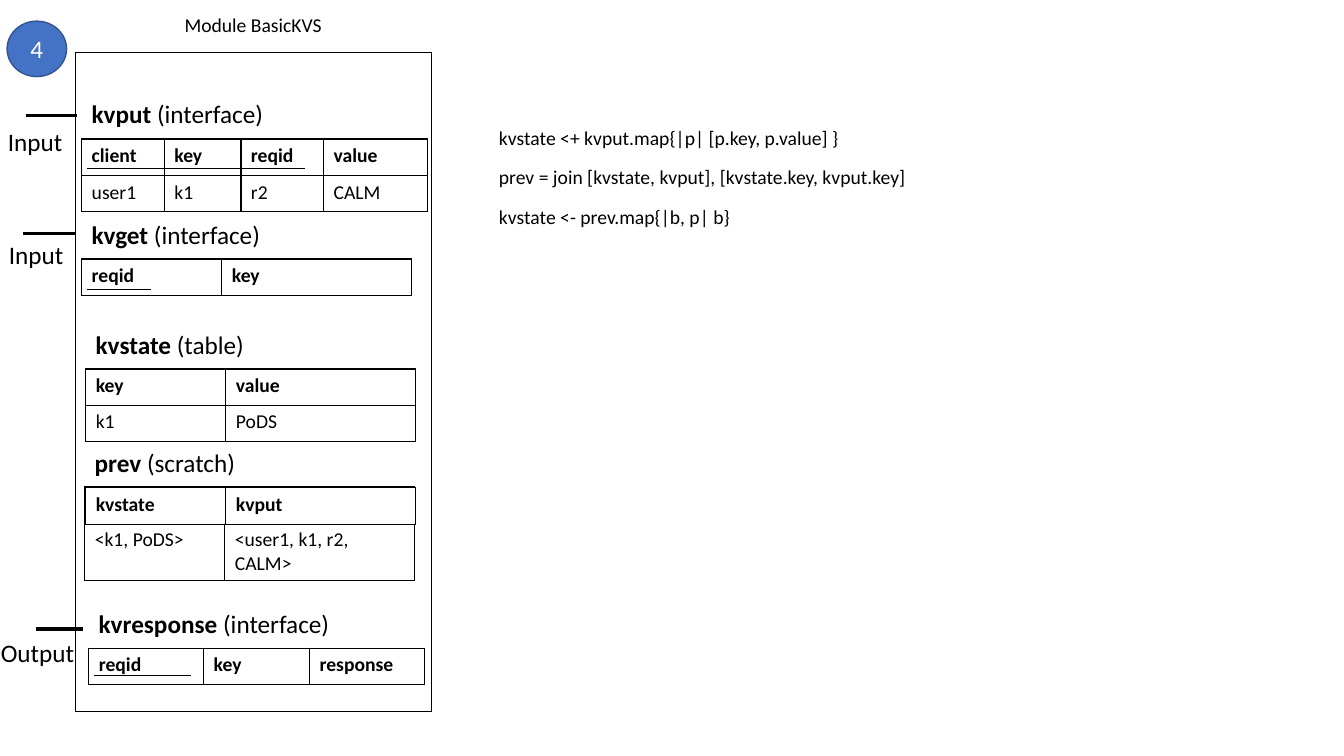
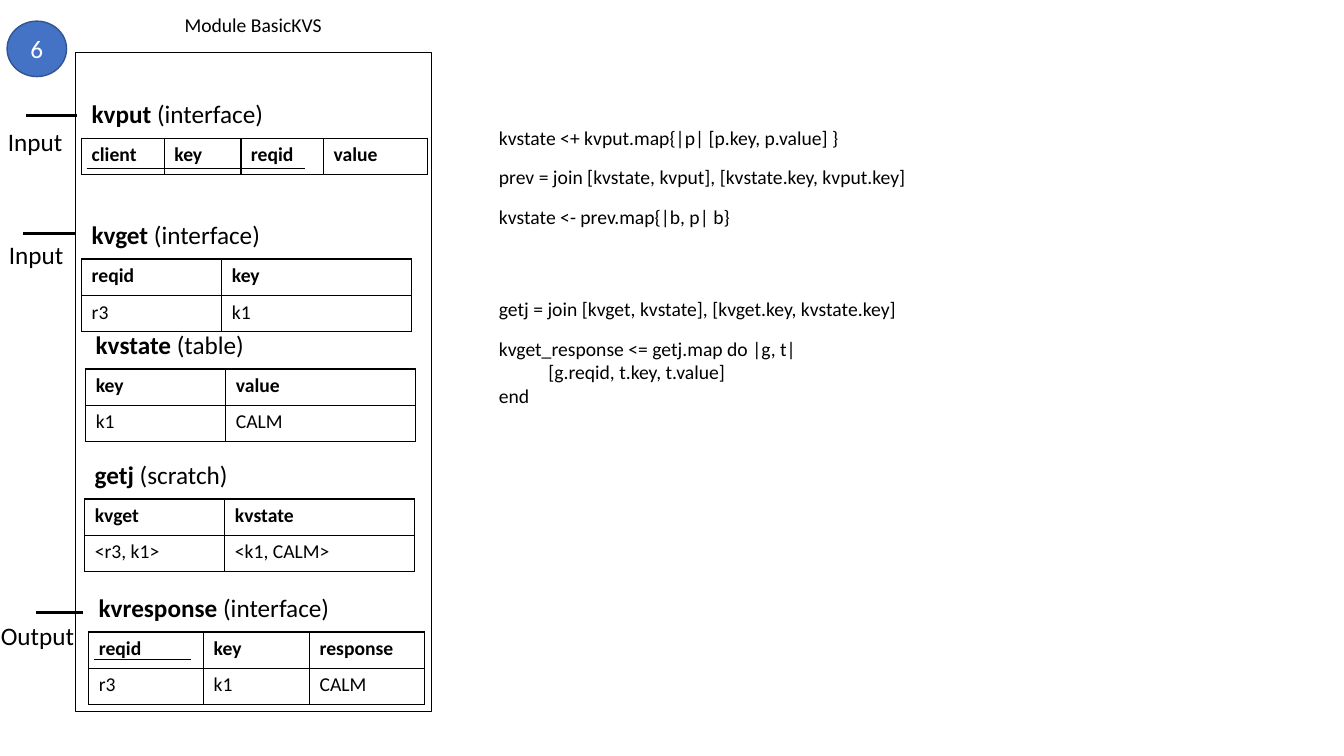
from dataclasses import dataclass
from lxml.etree import SubElement
from pptx import Presentation
from pptx.dml.color import RGBColor
from pptx.enum.shapes import MSO_CONNECTOR, MSO_SHAPE
from pptx.enum.text import MSO_ANCHOR, PP_ALIGN
from pptx.oxml import parse_xml
from pptx.oxml.ns import nsdecls, qn
from pptx.util import Inches, Pt


@dataclass(frozen=True)
class Theme:
    font: str = "Calibri"
    ink: str = "000000"
    paper: str = "FFFFFF"
    badge: str = "4472C4"
    edge: str = "325491"
    small: int = 14
    large: int = 18
    thin: float = 1
    thick: float = 2.25


@dataclass(frozen=True)
class Port:
    """Stub into the module: line ends, rise over the table, label place."""
    text: str
    start: float
    end: float
    rise: float
    left: float
    drop: float


@dataclass(frozen=True)
class Part:
    """Named relation, offset from the module box.

    Each layer is a table: (shift right, shift down, rows).
    """
    name: str
    kind: str
    left: float
    top: float
    cols: tuple
    layers: list
    key: tuple = ()  # width and drop of the line under the key columns
    port: Port | None = None


THEME = Theme()
MODULE = (0.75, 0.52, 3.53, 6.54)
CODE = (4.85, 1.2, 4.53)
ROW, HEAD, STEP, INDENT = 0.36, 0.44, 0.39, 0.49
PAIR = (1.39, 1.88)

PUT = Port("Input", -0.49, 0.01, 0.22, -0.77, 0.05)
GET = Port("Input", -0.52, -0.01, 0.25, -0.76, 0.01)
OUT = Port("Output", -0.39, 0.07, 0.19, -0.84, 0.03)


def color(code):
    return RGBColor.from_string(code)


def style(para, size, ink=THEME.ink, bold=False):
    font = para.font
    font.name, font.size, font.bold = THEME.font, Pt(size), bold
    font.color.rgb = color(ink)


def put_text(slide, box, lines, size):
    """Write lines of (text, indent) in one box."""
    frame = slide.shapes.add_textbox(*map(Inches, box)).text_frame
    frame.word_wrap = True
    for i, (text, indent) in enumerate(lines):
        para = frame.add_paragraph() if i else frame.paragraphs[0]
        para.text = text
        style(para, size)
        if indent:
            para._p.get_or_add_pPr().set("marL", str(Inches(indent)))
    return frame


def put_line(slide, x1, y1, x2, y2, width):
    line = slide.shapes.add_connector(
        MSO_CONNECTOR.STRAIGHT, *map(Inches, (x1, y1, x2, y2)))
    line.line.color.rgb = color(THEME.ink)
    line.line.width = Pt(width)
    SubElement(line._element.spPr, qn("a:effectLst"))


def put_shape(slide, kind, box, fill, edge):
    shape = slide.shapes.add_shape(kind, *map(Inches, box))
    shape.shadow.inherit = False
    if fill:
        shape.fill.solid()
        shape.fill.fore_color.rgb = color(fill)
    else:
        shape.fill.background()
    shape.line.color.rgb = color(edge)
    shape.line.width = Pt(THEME.thin)
    return shape


def border(cell):
    props = cell._tc.get_or_add_tcPr()
    for i, side in enumerate("LRTB"):
        props.insert(i, parse_xml(
            f'<a:ln{side} {nsdecls("a")} w="{Pt(THEME.thin)}"><a:solidFill>'
            f'<a:srgbClr val="{THEME.ink}"/></a:solidFill></a:ln{side}>'))


def put_table(slide, x, y, cols, rows):
    size = sum(cols), ROW * len(rows)
    grid = slide.shapes.add_table(
        len(rows), len(cols), *map(Inches, (x, y, *size))).table
    grid.first_row = grid.horz_banding = False
    for col, width in zip(grid.columns, cols):
        col.width = Inches(width)
    for r, row in enumerate(rows):
        grid.rows[r].height = Inches(ROW)
        for c, text in enumerate(row):
            cell = grid.cell(r, c)
            cell.text = text
            style(cell.text_frame.paragraphs[0], THEME.small, bold=r == 0)
            cell.fill.solid()
            cell.fill.fore_color.rgb = color(THEME.paper)
            border(cell)


def put_part(slide, box, part):
    """Place tables, heading, key line and port of one part."""
    x, y = box[0] + part.left, box[1] + part.top
    for right, down, rows in part.layers:
        put_table(slide, x + right, y + down, part.cols, rows)
    head = put_text(slide, (x, y - HEAD, 3.18, 0.4),
                    [(part.name + " ", 0)], THEME.large).paragraphs[0]
    head.runs[0].font.bold = True
    head.add_run().text = f"({part.kind})"
    if part.key:
        width, drop = part.key
        put_line(slide, x + 0.05, y + drop, x + 0.05 + width, y + drop,
                 THEME.thin)
    if part.port:
        port, level = part.port, y - part.port.rise
        put_line(slide, box[0] + port.start, level, box[0] + port.end, level,
                 THEME.thick)
        put_text(slide, (box[0] + port.left, level + port.drop, 1.05, 0.4),
                 [(port.text, 0)], THEME.large)


def put_code(slide, box, blocks):
    """Stack statements by a fixed step, each block from its own top."""
    x, y, width = box
    for top, items in blocks:
        for i, lines in enumerate(items):
            height = 0.34 + 0.235 * (len(lines) - 1)
            put_text(slide, (x, y + top + i * STEP, width, height), lines,
                     THEME.small)


def put_title(slide, box, text):
    title = slide.shapes.title
    title.left, title.top, title.width, title.height = map(
        Inches, (box[0] + 0.98, box[1] - 0.45, 1.57, 0.34))
    frame = title.text_frame
    frame.text = text
    frame.word_wrap = False
    frame.paragraphs[0].alignment = PP_ALIGN.LEFT
    style(frame.paragraphs[0], THEME.small)


def put_badge(slide, box, text):
    badge = put_shape(slide, MSO_SHAPE.OVAL, box, THEME.badge, THEME.edge)
    frame = badge.text_frame
    frame.vertical_anchor = MSO_ANCHOR.MIDDLE
    frame.text = text
    frame.paragraphs[0].alignment = PP_ALIGN.CENTER
    style(frame.paragraphs[0], THEME.large, THEME.paper)


def put_slide(deck, number, parts, blocks):
    slide = deck.slides.add_slide(deck.slide_layouts[5])
    put_title(slide, MODULE, "Module BasicKVS")
    put_shape(slide, MSO_SHAPE.RECTANGLE, MODULE, None, THEME.ink)
    for part in parts:
        put_part(slide, MODULE, part)
    put_code(slide, CODE, blocks)
    put_badge(slide, (0.07, 0.21, 0.59, 0.55), number)


def stack(head, data, down=0):
    """Schema table, and over it the filled table once data arrives."""
    schema = [(0, 0, [head])]
    return schema + [(0, down, [head, *data])] if data else schema


def make_parts(put, get, state, scratch, reply):
    """Build the parts; scratch is (name, top, layers), reply (top, rows)."""
    name, top, layers = scratch
    end, answer = reply
    return [
        Part("kvput", "interface", 0.06, 0.85, (0.82, 0.76, 0.82, 1.03),
             stack(("client", "key", "reqid", "value"), put, 0.01),
             (2.17, 0.3), PUT),
        Part("kvget", "interface", 0.06, 2.05, PAIR,
             stack(("reqid", "key"), get), () if get else (0.64, 0.3), GET),
        Part("kvstate", "table", 0.1, 3.14, PAIR,
             [(0, 0, [("key", "value"), ("k1", state)])]),
        Part(name, "scratch", 0.09, top, PAIR, layers),
        Part("kvresponse", "interface", 0.13, end, (1.14, 1.05, 1.14),
             stack(("reqid", "key", "response"), answer), (0.96, 0.27), OUT),
    ]


def main():
    deck = Presentation()
    deck.slide_width, deck.slide_height = Inches(13.33), Inches(7.5)
    write = (0, [
        [("kvstate <+ kvput.map{|p| [p.key, p.value] }", 0)],
        [("prev = join [kvstate, kvput], [kvstate.key, kvput.key]", 0)],
        [("kvstate <- prev.map{|b, p| b}", 0)],
    ])
    read = (1.7, [
        [("getj = join [kvget, kvstate], [kvget.key, kvstate.key]", 0)],
        [("kvget_response <= getj.map do |g, t|", 0),
         ("[g.reqid, t.key, t.value]", INDENT), ("end", 0)],
    ])
    prev = [("kvstate", "kvput"), ("<k1, PoDS>", "<user1, k1, r2, CALM>")]
    getj = [("kvget", "kvstate"), ("<r3, k1>", "<k1, CALM>")]
    put_slide(deck, "4", make_parts(
        [("user1", "k1", "r2", "CALM")], [], "PoDS",
        ("prev", 4.31, [(0, 0, prev), (0.01, 0.01, prev[:1])]),
        (5.91, [])), [write])
    put_slide(deck, "6", make_parts(
        [], [("r3", "k1")], "CALM",
        ("getj", 4.43, [(0, 0, getj)]),
        (5.75, [("r3", "k1", "CALM")])), [write, read])
    deck.save("out.pptx")


if __name__ == "__main__":
    main()
